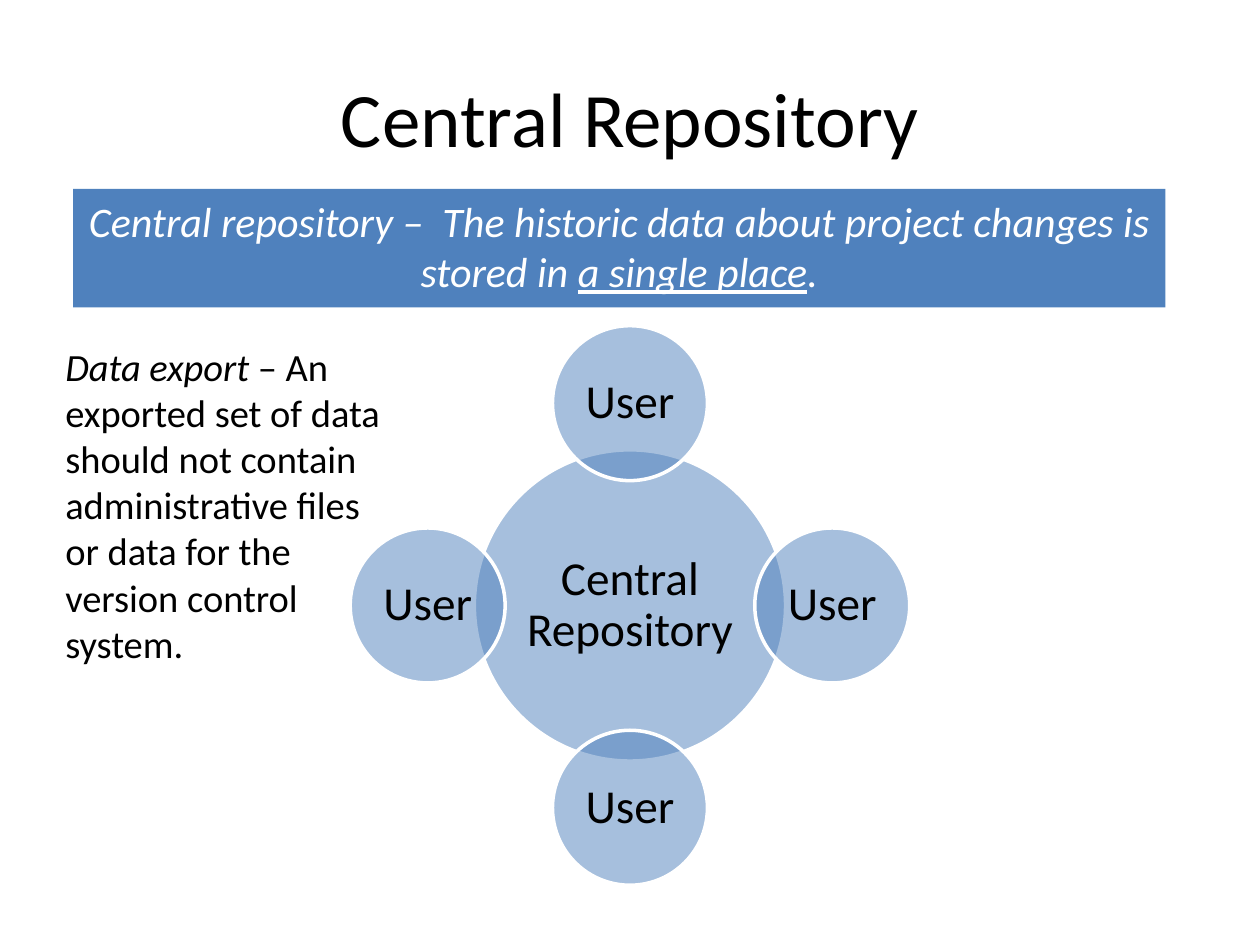
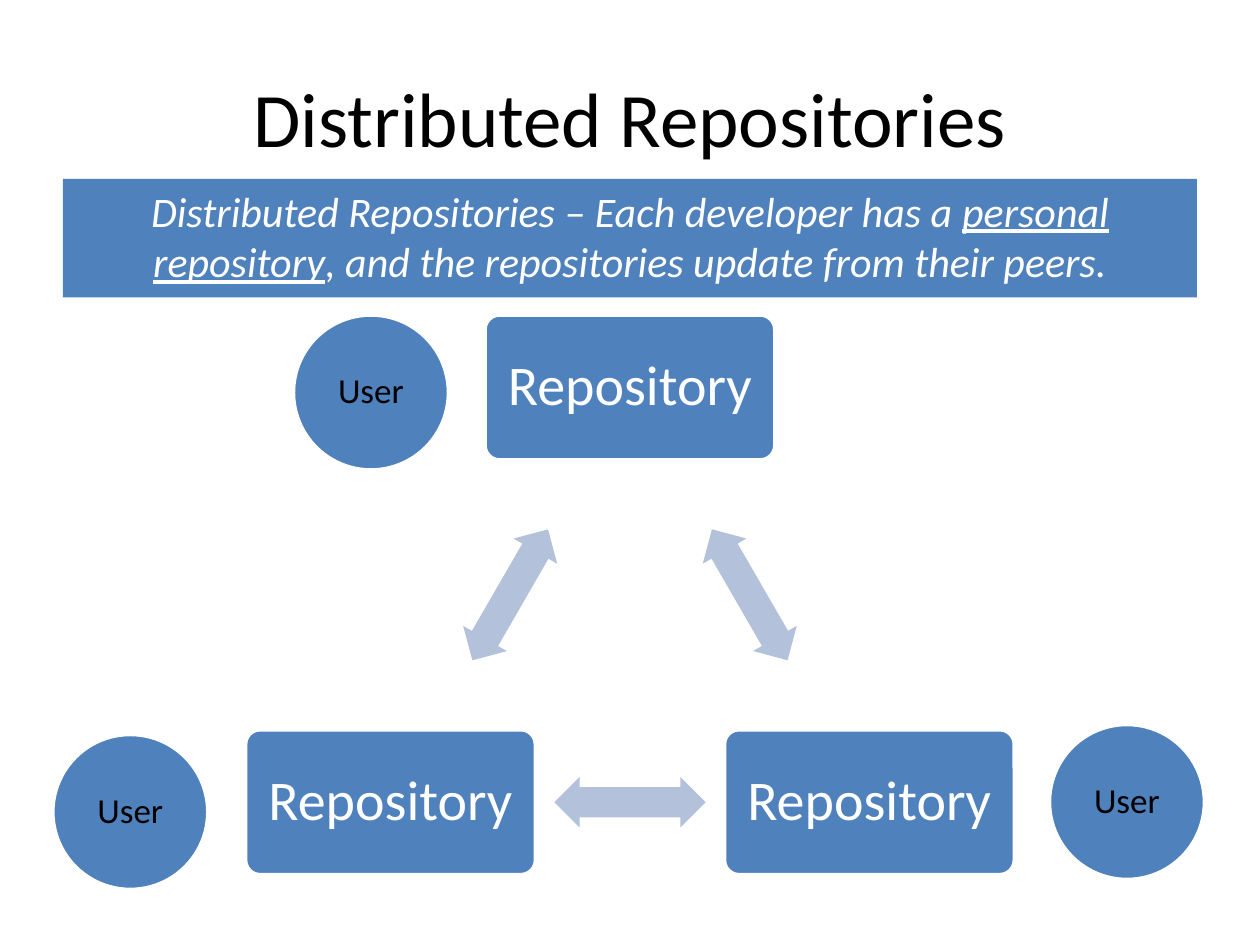
import math

import pptx
import pptx.dml.color
import pptx.enum.shapes
import pptx.enum.text
import pptx.oxml.ns
import pptx.util
from lxml import etree

Pt = pptx.util.Pt
SHAPE = pptx.enum.shapes.MSO_SHAPE
ANCHOR = pptx.enum.text.MSO_ANCHOR
CENTER = pptx.enum.text.PP_ALIGN.CENTER

BLUE, PALE, WHITE, BLACK = "4F81BD", "B3C1DB", "FFFFFF", "000000"


def rgb(value):
    return pptx.dml.color.RGBColor.from_string(value)


def write(p, text, size, color=BLACK, italic=False, underline=False):
    r = p.add_run()
    r.text = text
    r.font.name = "Calibri"
    r.font.size = Pt(size)
    r.font.color.rgb = rgb(color)
    r.font.italic = italic
    r.font.underline = underline


prs = pptx.Presentation()
prs.slide_width, prs.slide_height = Pt(720), Pt(540)

# Titles and definition banners: runs alternate plain and underlined
pages = [
    ("Central Repository", (41.76, 108, 624.24),
     ["Central repository –  The historic data about project changes is stored in ",
      "a single place", "."]),
    ("Distributed Repositories", (36, 102.24, 648),
     ["Distributed Repositories – Each developer has a ",
      "personal repository", ", and the repositories update from their peers."]),
]
for title, (x, y, w), definition in pages:
    s = prs.slides.add_slide(prs.slide_layouts[5])
    sp = s.shapes.title
    sp.left, sp.top, sp.width, sp.height = Pt(36), Pt(21.6), Pt(648), Pt(90)
    sp.text_frame.vertical_anchor = ANCHOR.MIDDLE
    p = sp.text_frame.paragraphs[0]
    p.alignment = CENTER
    write(p, title, 44)

    sp = s.shapes.add_shape(SHAPE.RECTANGLE, Pt(x), Pt(y), Pt(w), Pt(67.68))
    sp.shadow.inherit = False
    sp.fill.solid()
    sp.fill.fore_color.rgb = rgb(BLUE)
    sp.line.fill.background()
    tf = sp.text_frame
    tf.word_wrap = True
    tf.vertical_anchor = ANCHOR.TOP
    p = tf.paragraphs[0]
    p.alignment = CENTER
    for i, text in enumerate(definition):
        write(p, text, 24, WHITE, italic=True, underline=i % 2 == 1)

central, distributed = prs.slides

# Diagram nodes: slide, shape, centre, size, label, text size, text colour, opacity
hub_x, hub_y, orbit, user_size = 360, 346, 115.6, (88.56, 88.56)
nodes = [(central, SHAPE.OVAL, (hub_x, hub_y), (177.84, 177.84),
          "Central Repository", 27, BLACK, 50)]
for dx, dy in [(0, -1), (1, 0), (0, 1), (-1, 0)]:
    nodes.append((central, SHAPE.OVAL, (hub_x + orbit * dx, hub_y + orbit * dy),
                  user_size, "User", 27, BLACK, 50))

ring_x, ring_y, ring_r = 360, 379.4, 158
corners = [(ring_x + ring_r * math.sin(math.radians(a)),
            ring_y - ring_r * math.cos(math.radians(a))) for a in (0, 120, 240)]
for corner in corners:
    nodes.append((distributed, SHAPE.ROUNDED_RECTANGLE, corner, (165.6, 82.8),
                  "Repository", 32, WHITE, 100))
for center in [(212, 224.3), (74.5, 464), (644, 458.3)]:
    nodes.append((distributed, SHAPE.OVAL, center, user_size, "User", 20, BLACK, 100))

for s, kind, (cx, cy), (w, h), label, size, color, opacity in nodes:
    sp = s.shapes.add_shape(kind, Pt(cx - w / 2), Pt(cy - h / 2), Pt(w), Pt(h))
    sp.shadow.inherit = False
    sp.fill.solid()
    sp.fill.fore_color.rgb = rgb(BLUE)
    if opacity < 100:
        clr = sp.fill._xPr.find(".//" + pptx.oxml.ns.qn("a:srgbClr"))
        etree.SubElement(clr, pptx.oxml.ns.qn("a:alpha"), val=str(opacity * 1000))
    sp.line.color.rgb = rgb(WHITE)
    sp.line.width = Pt(2)
    if kind == SHAPE.ROUNDED_RECTANGLE:
        sp.adjustments[0] = 0.1
    tf = sp.text_frame
    tf.word_wrap = True
    tf.vertical_anchor = ANCHOR.MIDDLE
    tf.margin_left = tf.margin_right = tf.margin_top = tf.margin_bottom = Pt(2)
    p = tf.paragraphs[0]
    p.alignment = CENTER
    p.line_spacing = 0.9
    write(p, label, size, color)

# Double arrows halfway between neighbouring repositories
arrow_w, arrow_h = 86.4, 28.8
for i, (x1, y1) in enumerate(corners):
    x2, y2 = corners[(i + 1) % 3]
    sp = distributed.shapes.add_shape(
        SHAPE.LEFT_RIGHT_ARROW, Pt((x1 + x2 - arrow_w) / 2), Pt((y1 + y2 - arrow_h) / 2),
        Pt(arrow_w), Pt(arrow_h))
    sp.rotation = 60 + 120 * i
    sp.adjustments[0], sp.adjustments[1] = 0.6, 0.5
    sp.shadow.inherit = False
    sp.fill.solid()
    sp.fill.fore_color.rgb = rgb(PALE)
    sp.line.fill.background()

# Note on data export
tf = central.shapes.add_textbox(Pt(30.24), Pt(192.24), Pt(198), Pt(193.68)).text_frame
tf.word_wrap = True
p = tf.paragraphs[0]
write(p, "Data export", 22, italic=True)
write(p, " – An exported set of data should not contain administrative files "
         "or data for the version control system.", 22)

prs.save("out.pptx")
